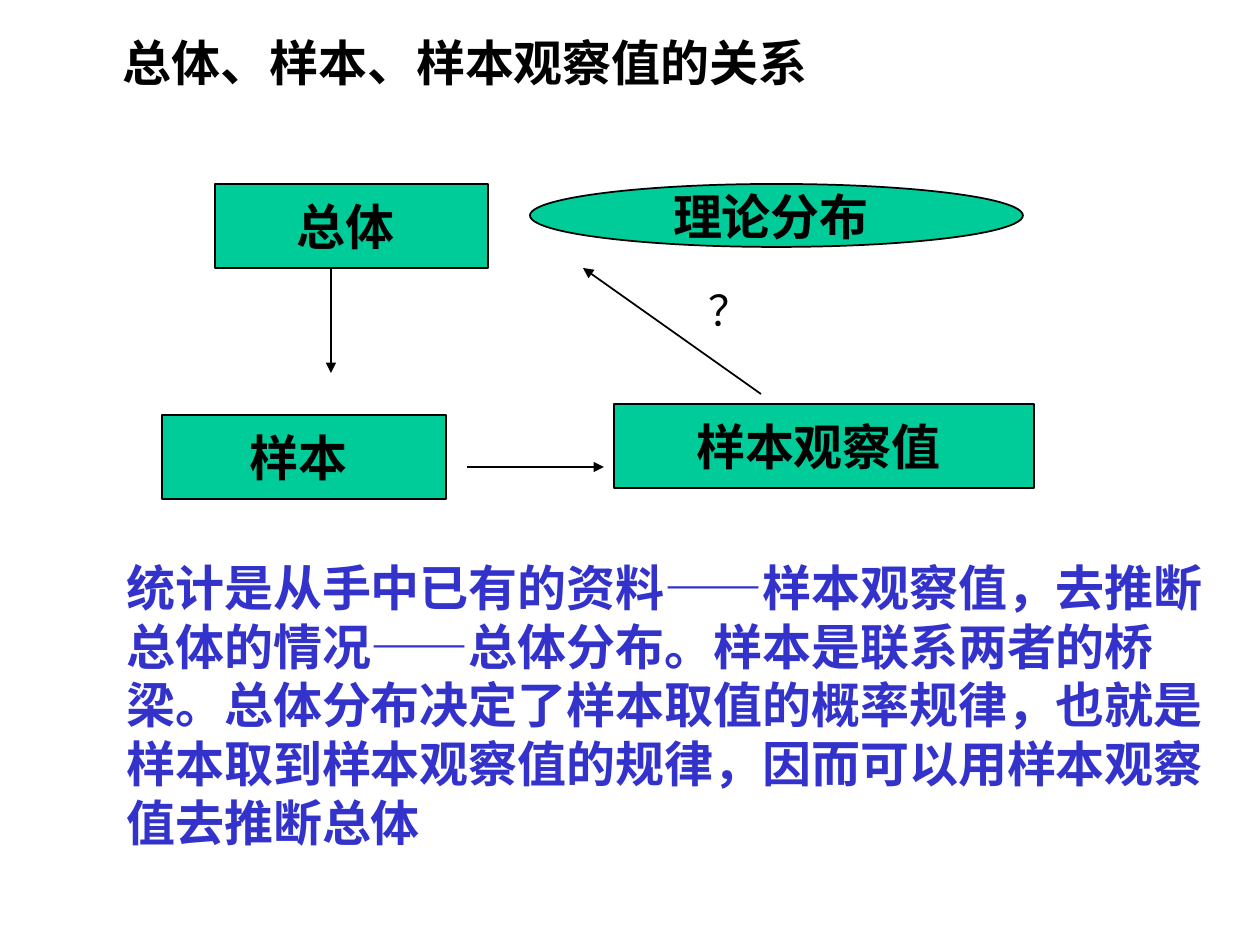
"""Build a slide on how population, sample and observed sample values relate."""
from lxml import etree
from pptx import Presentation
from pptx.dml.color import RGBColor
from pptx.enum.shapes import MSO_CONNECTOR, MSO_SHAPE
from pptx.enum.text import MSO_ANCHOR, MSO_AUTO_SIZE, PP_ALIGN
from pptx.oxml.ns import qn
from pptx.util import Emu, Pt

RECT, OVAL = MSO_SHAPE.RECTANGLE, MSO_SHAPE.OVAL
STRAIGHT = MSO_CONNECTOR.STRAIGHT
TOP, MIDDLE = MSO_ANCHOR.TOP, MSO_ANCHOR.MIDDLE
LEFT, CENTER = PP_ALIGN.LEFT, PP_ALIGN.CENTER
NO_AUTOFIT = MSO_AUTO_SIZE.NONE

COLORS = {"ink": "000000", "node": "00CC99", "summary": "3333CC"}
PX = 914400 / 126


def px(*lengths):
    return [Emu(round(length * PX)) for length in lengths]


def write(frame, text, size=28, font="Times New Roman", color="ink",
          bold=True, align=LEFT, anchor=TOP, wrap=True):
    frame.auto_size = NO_AUTOFIT
    frame.word_wrap = wrap
    frame.vertical_anchor = anchor
    paragraph = frame.paragraphs[0]
    paragraph.alignment = align
    paragraph._p.get_or_add_pPr().set("hangingPunct", "0")
    run = paragraph.add_run()
    run.text = text
    run.font.size = Pt(size)
    run.font.name = font
    run.font.bold = bold
    run.font.color.rgb = RGBColor.from_string(COLORS[color])


prs = Presentation()
prs.slide_width, prs.slide_height = px(1260, 945)
slide = prs.slides.add_slide(prs.slide_layouts[5])
shapes = slide.shapes
ink = RGBColor.from_string(COLORS["ink"])

heading = shapes.title
heading.left, heading.top, heading.width, heading.height = px(110, 26, 1144, 72)
write(heading.text_frame, "总体、样本、样本观察值的关系")

nodes = [
    (RECT, "总体 ", (215, 184, 273, 84)),
    (RECT, "样本 ", (162, 415, 284, 84)),
    (RECT, "样本观察值 ", (614, 404, 420, 84)),
    (OVAL, "理论分布 ", (530, 184, 493, 63)),
]
for outline, label, box in nodes:
    node = shapes.add_shape(outline, *px(*box))
    node.shadow.inherit = False
    node.fill.solid()
    node.fill.fore_color.rgb = RGBColor.from_string(COLORS["node"])
    node.line.color.rgb = ink
    node.line.width = Pt(1)
    write(node.text_frame, label, align=CENTER, anchor=MIDDLE, wrap=False)

steps = [(331, 268, 331, 373), (467, 467, 604, 467), (761, 394, 583, 268)]
for ends in steps:
    arrow = shapes.add_connector(STRAIGHT, *px(*ends))
    arrow.line.color.rgb = ink
    arrow.line.width = Pt(1)
    etree.SubElement(arrow.line._get_or_add_ln(), qn("a:tailEnd"), type="triangle")
    etree.SubElement(arrow._element.spPr, qn("a:effectLst"))

question = shapes.add_textbox(*px(696, 278, 63, 63))
write(question.text_frame, "？", size=24, font="Noto Sans CJK SC", bold=False, wrap=False)

summary = shapes.add_textbox(*px(114, 551, 1144, 307))
write(
    summary.text_frame,
    "统计是从手中已有的资料——样本观察值，去推断总体的情况——总体分布。"
    "样本是联系两者的桥梁。总体分布决定了样本取值的概率规律，"
    "也就是样本取到样本观察值的规律，因而可以用样本观察值去推断总体",
    color="summary",
)

prs.save("out.pptx")
